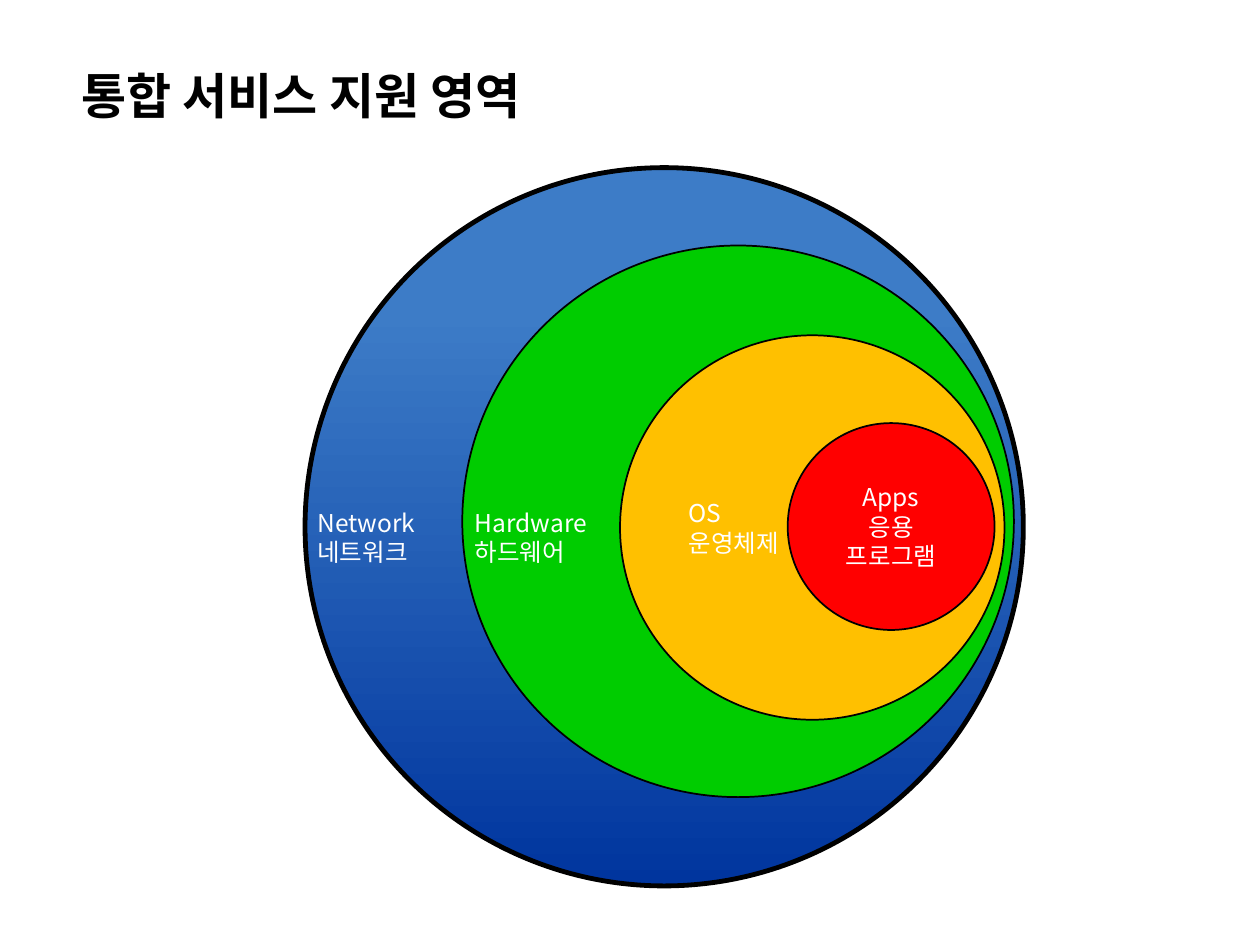
from pptx import Presentation
from pptx.dml.color import RGBColor
from pptx.enum.shapes import MSO_SHAPE
from pptx.enum.text import MSO_ANCHOR, PP_ALIGN
from pptx.util import Cm, Pt
from lxml import etree

OVAL = MSO_SHAPE.OVAL
TOP, MIDDLE = MSO_ANCHOR.TOP, MSO_ANCHOR.MIDDLE
LEFT, CENTER = PP_ALIGN.LEFT, PP_ALIGN.CENTER
FONT = "Noto Sans CJK KR"
COLORS = {
    "navy": "00359E",
    "sky": "3D7CC7",
    "green": "00CC00",
    "amber": "FFC000",
    "red": "FF0000",
    "black": "000000",
    "white": "FFFFFF",
}


def rgb(name):
    return RGBColor.from_string(COLORS[name])


class Deck:
    """Holds the style and the current slide, and draws its elements."""

    def __init__(self, width, height):
        self.prs = Presentation()
        self.prs.slide_width, self.prs.slide_height = Cm(width), Cm(height)
        self.s = self.prs.slides.add_slide(self.prs.slide_layouts[6])

    def set_text(self, sp, text, size=14, color="white", bold=False, align=LEFT, anchor=TOP):
        tf = sp.text_frame
        tf.text = text
        tf.word_wrap = True
        tf.vertical_anchor = anchor
        for p in tf.paragraphs:
            p.alignment = align
            for r in p.runs:
                r.font.name, r.font.size, r.font.bold = FONT, Pt(size), bold
                r.font.color.rgb = rgb(color)
                latin = r._r.find(".//{*}latin")
                ea = etree.Element(latin.tag.replace("latin", "ea"), typeface=FONT)
                latin.addnext(ea)

    def circle(self, left, top, size, fill, line=1, text="", align=LEFT):
        sp = self.s.shapes.add_shape(OVAL, Cm(left), Cm(top), Cm(size), Cm(size))
        sp.shadow.inherit = False
        if isinstance(fill, tuple):
            sp.fill.gradient()
            sp.fill.gradient_angle = 90
            for stop, name, position in zip(sp.fill.gradient_stops, fill, (0, 0.8)):
                stop.color.rgb = rgb(name)
                stop.position = position
        else:
            sp.fill.solid()
            sp.fill.fore_color.rgb = rgb(fill)
        sp.line.color.rgb = rgb("black")
        sp.line.width = Pt(line)
        if text:
            self.set_text(sp, text, align=align, anchor=MIDDLE)

    def label(self, left, top, width, height, text, **style):
        sp = self.s.shapes.add_textbox(Cm(left), Cm(top), Cm(width), Cm(height))
        self.set_text(sp, text, **style)


def main():
    deck = Deck(25.4, 19.05)
    deck.circle(6.15, 3.38, 14.48, ("navy", "sky"), line=2.75)
    deck.circle(9.32, 4.95, 11.12, "green")
    deck.circle(12.5, 6.76, 7.75, "amber", text="OS\n운영체제")
    deck.circle(15.88, 8.53, 4.17, "red", text="Apps\v응용\v프로그램", align=CENTER)
    for left, text in ((9.32, "Hardware\n하드웨어"), (6.15, "Network\v네트워크")):
        deck.label(left, 10.11, 3.38, 2.06, text)
    deck.label(1.4, 1.19, 11.91, 1.45, "통합 서비스 지원 영역", size=28, color="black", bold=True)
    deck.prs.save("out.pptx")


if __name__ == "__main__":
    main()
